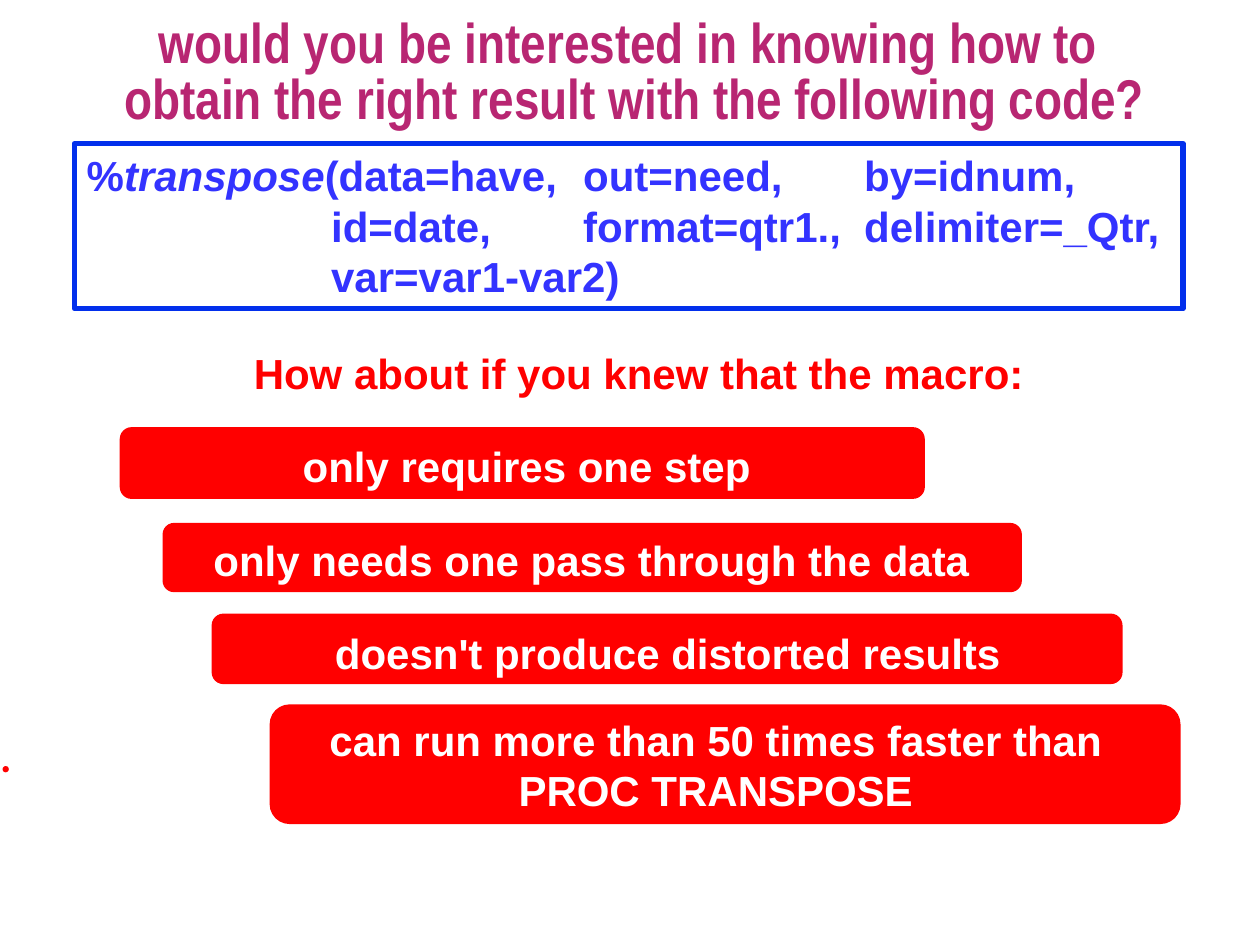
"""Build the slide that asks about the transpose macro and lists its benefits."""
from dataclasses import dataclass

from lxml.etree import SubElement
from pptx import Presentation
from pptx.dml.color import RGBColor
from pptx.enum.shapes import MSO_SHAPE
from pptx.enum.text import MSO_ANCHOR, MSO_AUTO_SIZE, PP_ALIGN
from pptx.oxml.ns import qn
from pptx.util import Inches, Pt

RED = RGBColor(0xFF, 0x00, 0x00)
WHITE = RGBColor(0xFF, 0xFF, 0xFF)
PLUM = RGBColor(0xB8, 0x26, 0x72)
BLUE = RGBColor(0x33, 0x33, 0xFF)
EDGE = RGBColor(0x02, 0x2F, 0xEC)

BODY = {"name": "Arial", "size": Pt(24), "bold": True}
HEAD = {"name": "Arial Narrow", "size": Pt(32), "bold": True}
FRAME = {"word_wrap": True, "auto_size": MSO_AUTO_SIZE.NONE,
         "vertical_anchor": MSO_ANCHOR.TOP}
STOPS = (1.94, 3.94, 6.17)

Box = tuple[float, float, float, float]


@dataclass
class Claim:
    """A red bar and the label over it."""
    text: str
    bar: Box
    label: Box


TITLE = ("would you be interested in knowing how to",
         " obtain the right result with the following code?")
CODE = ((("%", False), ("transpose", True),
         ("(data=have,\tout=need,\tby=idnum,", False)),
        (("\tid=date,\tformat=qtr1.,\tdelimiter=_Qtr,", False),),
        (("\tvar=var1-var2)", False),))
CLAIMS = (
    Claim("only requires one step",
          (0.95, 3.39, 6.39, 0.57), (1.02, 3.45, 6.32, 0.5)),
    Claim("only needs one pass through the data",
          (1.29, 4.15, 6.82, 0.55), (1.28, 4.19, 6.83, 0.5)),
    Claim("doesn't produce distorted results",
          (1.68, 4.87, 7.23, 0.56), (1.76, 4.93, 7.08, 0.5)),
    Claim("can run more than 50 times faster than PROC TRANSPOSE",
          (2.14, 5.59, 7.23, 0.95), (2.14, 5.62, 7.08, 0.91)),
)


def apply(item, values: dict) -> None:
    """Set each named value on the item."""
    for name, value in values.items():
        setattr(item, name, value)


def inches(box: Box) -> list:
    """Turn a box into lengths."""
    return [Inches(side) for side in box]


def add_run(para, text: str, style: dict, color: RGBColor) -> None:
    """Add a styled run to a paragraph."""
    run = para.add_run()
    run.text = text
    apply(run.font, style)
    run.font.color.rgb = color


def add_shape(slide, kind: MSO_SHAPE, box: Box, fill: RGBColor | None = None):
    """Add a flat shape without an outline."""
    shape = slide.shapes.add_shape(kind, *inches(box))
    shape.shadow.inherit = False
    shape.line.fill.background()
    if fill is None:
        shape.fill.background()
    else:
        shape.fill.solid()
        shape.fill.fore_color.rgb = fill
    return shape


def add_label(slide, text: str, box: Box, color: RGBColor) -> None:
    """Add one centred line of bold text."""
    frame = slide.shapes.add_textbox(*inches(box)).text_frame
    apply(frame, FRAME)
    para = frame.paragraphs[0]
    para.alignment = PP_ALIGN.CENTER
    add_run(para, text, BODY, color)


def fill_title(title) -> None:
    """Place the title and write its two lines."""
    apply(title, dict(zip(("left", "top", "width", "height"),
                          inches((-0.01, 0.1, 10, 1)))))
    frame = title.text_frame
    apply(frame, FRAME)
    for index, text in enumerate(TITLE):
        para = frame.add_paragraph() if index else frame.paragraphs[0]
        apply(para, {"alignment": PP_ALIGN.CENTER, "line_spacing": 0.83,
                     "space_before": Pt(0)})
        add_run(para, text, HEAD, PLUM)


def add_code(slide) -> None:
    """Add the framed macro call, aligned on tab stops."""
    panel = add_shape(slide, MSO_SHAPE.RECTANGLE, (0.59, 1.14, 8.8, 1.31))
    panel.line.color.rgb = EDGE
    panel.line.width = Pt(3)
    frame = panel.text_frame
    apply(frame, FRAME)
    for index, parts in enumerate(CODE):
        para = frame.add_paragraph() if index else frame.paragraphs[0]
        para.alignment = PP_ALIGN.LEFT
        tabs = SubElement(para._p.get_or_add_pPr(), qn("a:tabLst"))
        for stop in STOPS:
            SubElement(tabs, qn("a:tab"), pos=str(Inches(stop)), algn="l")
        for text, slant in parts:
            add_run(para, text, BODY | {"italic": slant}, BLUE)


def main() -> None:
    """Build and save the deck."""
    deck = Presentation()
    apply(deck, {"slide_width": Inches(10), "slide_height": Inches(7.5)})
    slide = deck.slides.add_slide(deck.slide_layouts[5])
    fill_title(slide.shapes.title)
    add_code(slide)
    for claim in CLAIMS:
        add_shape(slide, MSO_SHAPE.ROUNDED_RECTANGLE, claim.bar, RED)
        add_label(slide, claim.text, claim.label, WHITE)
    add_label(slide, "How about if you knew that the macro:",
              (1.91, 2.71, 6.32, 0.5), RED)
    add_shape(slide, MSO_SHAPE.OVAL, (0.02, 6.08, 0.05, 0.05), RED)
    deck.save("out.pptx")


if __name__ == "__main__":
    main()
